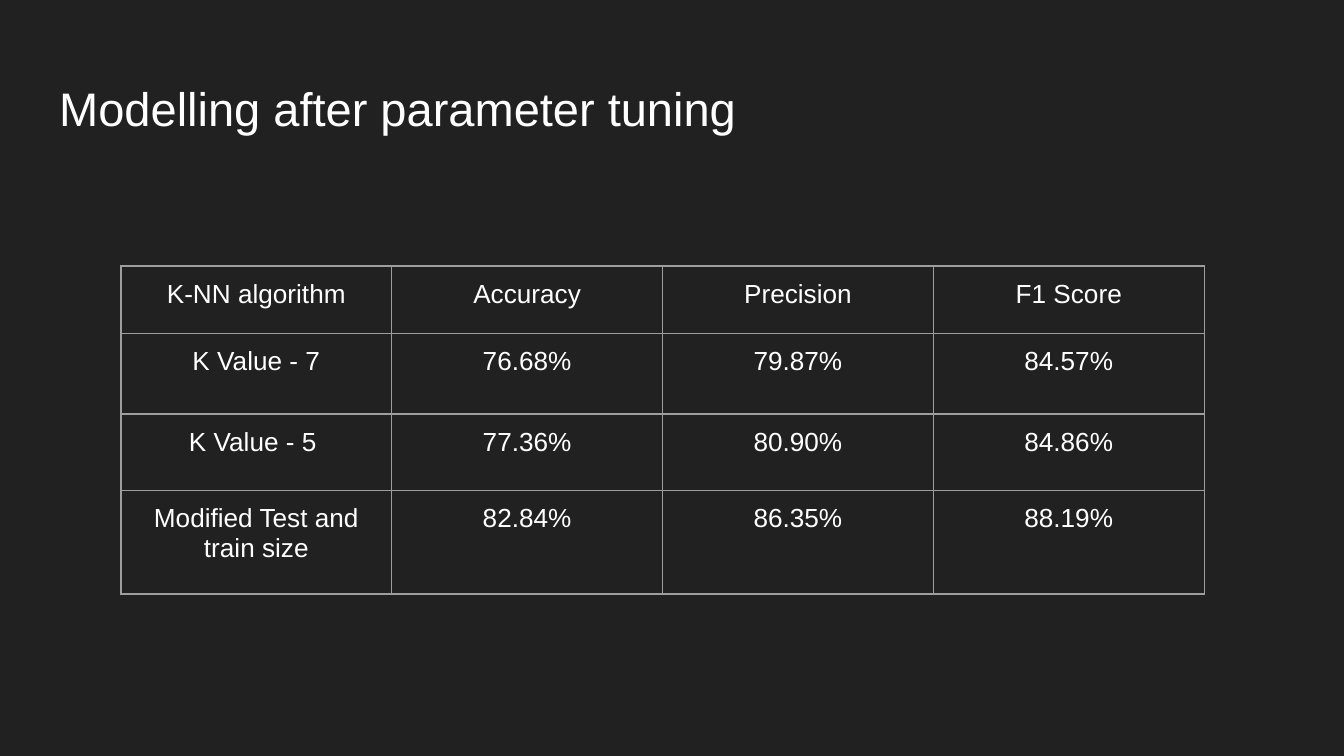
from dataclasses import dataclass

from lxml import etree
from pptx import Presentation
from pptx.dml.color import RGBColor
from pptx.enum.text import MSO_ANCHOR, MSO_AUTO_SIZE, PP_ALIGN
from pptx.oxml.ns import qn
from pptx.util import Inches, Pt

LEFT, CENTER = PP_ALIGN.LEFT, PP_ALIGN.CENTER
TOP, MIDDLE = MSO_ANCHOR.TOP, MSO_ANCHOR.MIDDLE
NO_AUTOFIT = MSO_AUTO_SIZE.NONE
TITLE_ONLY = 5

FONT = "Arial"
BACKGROUND, TEXT, GRID = "212121", "FFFFFF", "9E9E9E"
INSET = Inches(0.1)
SLIDE_WIDTH = 10
SLIDE_HEIGHT = SLIDE_WIDTH * 9 / 16
TABLE_WIDTH = 8.06


@dataclass
class ScoreRow:
    height: float
    cells: tuple[str, str, str, str]


ROWS = [
    ScoreRow(0.5, ("K-NN algorithm", "Accuracy", "Precision", "F1 Score")),
    ScoreRow(0.6, ("K Value - 7", "76.68%", "79.87%", "84.57%")),
    ScoreRow(0.57, ("K Value - 5 ", "77.36%", "80.90%", "84.86%")),
    ScoreRow(0.77, ("Modified Test and train size", "82.84%", "86.35%", "88.19%")),
]


def color(value: str) -> RGBColor:
    return RGBColor.from_string(value)


def write(tf, text: str, size: float, align) -> None:
    p = tf.paragraphs[0]
    p.alignment = align
    r = p.add_run()
    r.text = text
    r.font.name = FONT
    r.font.size = Pt(size)
    r.font.color.rgb = color(TEXT)


def set_insets(target) -> None:
    target.margin_left = target.margin_right = INSET
    target.margin_top = target.margin_bottom = INSET


def set_borders(cell, value: str, width: float) -> None:
    tc_pr = cell._tc.get_or_add_tcPr()
    for index, side in enumerate(("lnL", "lnR", "lnT", "lnB")):
        ln = etree.Element(qn(f"a:{side}"), w=str(Pt(width)))
        fill = etree.SubElement(ln, qn("a:solidFill"))
        etree.SubElement(fill, qn("a:srgbClr"), val=value)
        tc_pr.insert(index, ln)


def add_title(slide, text: str) -> None:
    title = slide.shapes.title
    title.left, title.top = Inches(0.34), Inches(0.49)
    title.width, title.height = Inches(9.32), Inches(0.63)
    tf = title.text_frame
    tf.word_wrap = True
    tf.auto_size = NO_AUTOFIT
    tf.vertical_anchor = MIDDLE
    set_insets(tf)
    write(tf, text, 25.2, LEFT)


def add_score_table(slide, rows: list[ScoreRow]) -> None:
    table = slide.shapes.add_table(
        len(rows), len(rows[0].cells), Inches(0.9), Inches(1.98),
        Inches(TABLE_WIDTH), Inches(sum(row.height for row in rows)),
    ).table
    table.first_row = table.horz_banding = False
    for i, row in enumerate(rows):
        table.rows[i].height = Inches(row.height)
        for j, text in enumerate(row.cells):
            cell = table.cell(i, j)
            cell.fill.background()
            cell.vertical_anchor = TOP
            set_insets(cell)
            set_borders(cell, GRID, 0.75)
            write(cell.text_frame, text, 14, CENTER)


def main() -> None:
    prs = Presentation()
    prs.slide_width, prs.slide_height = Inches(SLIDE_WIDTH), Inches(SLIDE_HEIGHT)
    s = prs.slides.add_slide(prs.slide_layouts[TITLE_ONLY])
    s.background.fill.solid()
    s.background.fill.fore_color.rgb = color(BACKGROUND)
    # Heading and model scores
    add_title(s, "Modelling after parameter tuning")
    add_score_table(s, ROWS)
    prs.save("out.pptx")


if __name__ == "__main__":
    main()
